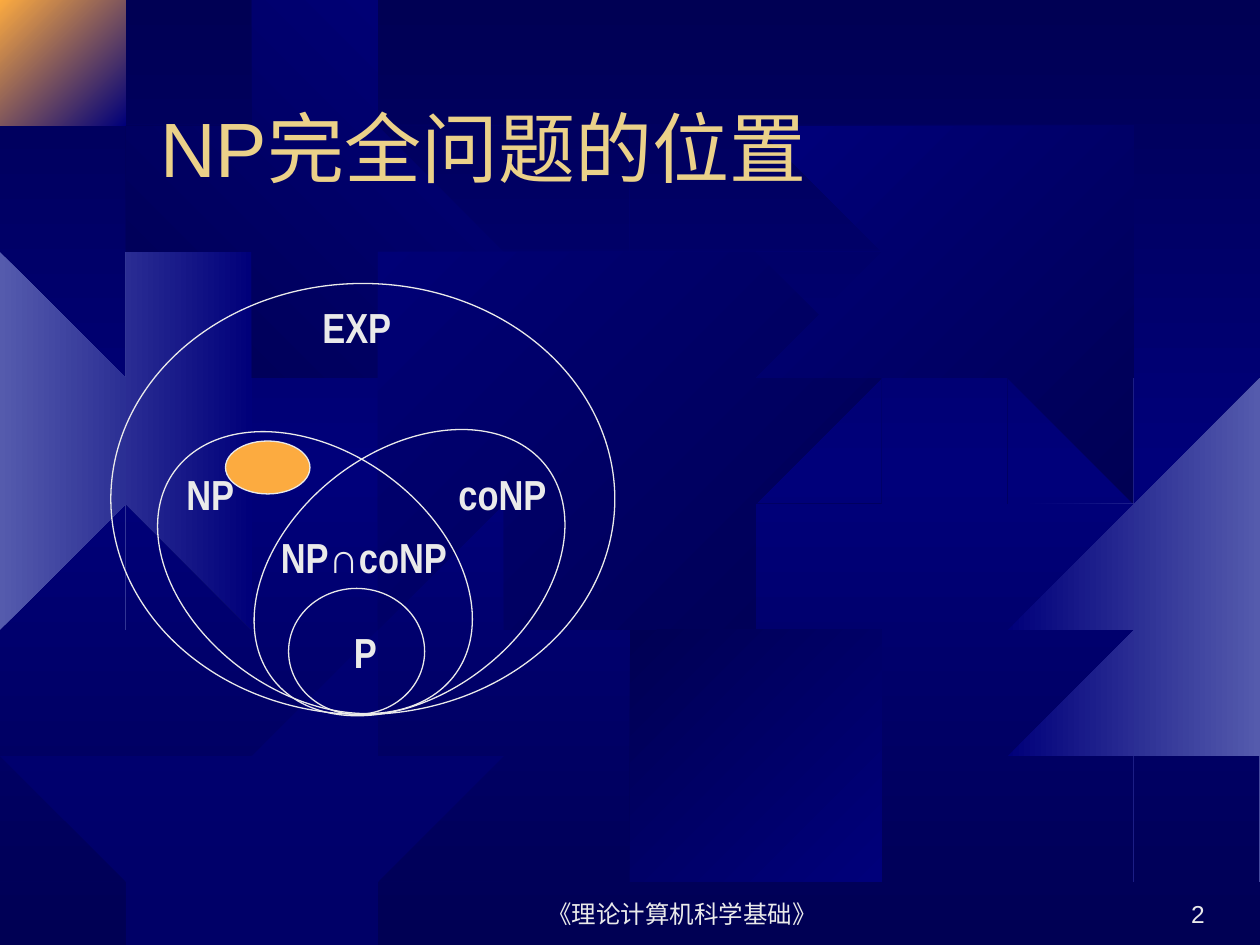
from dataclasses import dataclass
from typing import Optional

import pptx
import pptx.dml.color
import pptx.enum.shapes
import pptx.enum.text
import pptx.oxml
import pptx.oxml.ns
import pptx.util
from copy import deepcopy

Inches = pptx.util.Inches
RGBColor = pptx.dml.color.RGBColor
Align = pptx.enum.text.PP_ALIGN
Anchor = pptx.enum.text.MSO_ANCHOR

NAVY = RGBColor(0x00, 0x00, 0x54)
BLUE = RGBColor(0x00, 0x00, 0x7A)
LAVENDER = RGBColor(0x55, 0x5B, 0xAD)
ORANGE = RGBColor(0xFC, 0xAB, 0x40)
GOLD = RGBColor(0xEB, 0xD1, 0x89)
PALE = RGBColor(0xEA, 0xEA, 0xEA)

WIDTH, HEIGHT = 10, 7.5

Point = tuple[float, float]

GEAR_OUTLINE: list[Point] = [
    (1.58, 0.41), (1.38, 0.36), (1.35, 0), (1.11, 0.02), (1.1, 0.36), (0.93, 0.42),
    (0.7, 0.12), (0.54, 0.21), (0.69, 0.54), (0.59, 0.65), (0.24, 0.53), (0.16, 0.66),
    (0.42, 0.89), (0.38, 1.07), (0.01, 1.1), (0, 1.3), (0.38, 1.35), (0.42, 1.52),
    (0.14, 1.77), (0.24, 1.92), (0.55, 1.78), (0.67, 1.9), (0.5, 2.19), (0.66, 2.32),
    (0.93, 2.05), (1.1, 2.1), (1.13, 2.47), (1.37, 2.48), (1.4, 2.09), (1.61, 2.04),
    (1.85, 2.31), (2.01, 2.21), (1.85, 1.89), (1.96, 1.75), (2.28, 1.91), (2.38, 1.74),
    (2.08, 1.52), (2.12, 1.33), (2.48, 1.3), (2.47, 1.11), (2.11, 1.05), (2.07, 0.91),
    (2.37, 0.71), (2.27, 0.53), (1.94, 0.67), (1.83, 0.56), (2, 0.25), (1.84, 0.15),
]


@dataclass(frozen=True)
class Gear:
    left: float
    top: float
    scale: float
    start: RGBColor
    end: Optional[RGBColor] = None
    angle: int = 0


@dataclass(frozen=True)
class Oval:
    left: float
    top: float
    width: float
    height: float
    rotation: float = 0
    fill: Optional[RGBColor] = None


@dataclass(frozen=True)
class Label:
    text: str
    left: float
    top: float
    width: float
    size: int = 24
    font: str = "Arial Narrow"
    bold: bool = True
    alignment: Align = Align.LEFT
    anchor: Anchor = Anchor.TOP


GEARS = [
    Gear(-0.5, 2.01, 1.19, LAVENDER, BLUE),
    Gear(0.12, -0.04, 0.37, ORANGE, BLUE, 45),
    Gear(1.3, 0.39, 1, NAVY, BLUE, 315),
    Gear(2.77, 1.39, 1.62, BLUE, NAVY, 45),
    Gear(0, 5.25, 1.51, BLUE),
    Gear(4.91, 4.84, 1, NAVY, BLUE, 45),
    Gear(6.18, 0.53, 1.29, BLUE, NAVY, 45),
    Gear(7.82, 2.8, 1.76, BLUE, LAVENDER),
]
FOOTERS = [
    Label("《理论计算机科学基础》", 3.83, 6.92, 3.17, 14, "Arial", False, Align.CENTER, Anchor.BOTTOM),
    Label("2", 7.58, 6.92, 2.08, 14, "Arial", False, Align.RIGHT, Anchor.BOTTOM),
]
OVALS = [
    Oval(1.54, 3.17, 1.92, 2.75, 305.7),
    Oval(2.29, 3.17, 1.92, 2.75, 51.9),
    Oval(2.29, 4.67, 1.08, 1),
    Oval(0.88, 2.25, 4, 3.42),
    Oval(1.79, 3.5, 0.67, 0.42, fill=ORANGE),
]
CLASS_LABELS = [
    Label("P", 2.71, 4.92, 0.58),
    Label("NP", 1.38, 3.67, 0.75),
    Label("coNP", 3.54, 3.67, 1.08),
    Label("NP∩coNP", 2.13, 4.17, 1.58),
    Label("EXP", 2.46, 2.34, 0.75),
]


def clip(points: list[Point], axis: int, limit: float, sign: int) -> list[Point]:
    kept: list[Point] = []
    for before, after in zip(points[-1:] + points[:-1], points):
        gap_before = sign * (before[axis] - limit)
        gap_after = sign * (after[axis] - limit)
        if (gap_before > 0) != (gap_after > 0):
            share = gap_before / (gap_before - gap_after)
            kept.append((before[0] + share * (after[0] - before[0]),
                         before[1] + share * (after[1] - before[1])))
        if gap_after <= 0:
            kept.append(after)
    return kept


def draw_gear(slide: pptx.slide.Slide, gear: Gear) -> None:
    points = [(gear.left + gear.scale * x, gear.top + gear.scale * y) for x, y in GEAR_OUTLINE]
    for axis, limit, sign in ((0, 0, -1), (0, WIDTH, 1), (1, 0, -1), (1, HEIGHT, 1)):
        points = clip(points, axis, limit, sign)
    builder = slide.shapes.build_freeform(*points[0], scale=Inches(1))
    builder.add_line_segments(points[1:], close=True)
    shape = builder.convert_to_shape()
    shape.shadow.inherit = False
    shape.line.fill.background()
    if gear.end is None:
        shape.fill.solid()
        shape.fill.fore_color.rgb = gear.start
        color = shape._element.spPr.find(".//" + pptx.oxml.ns.qn("a:srgbClr"))
        alpha = pptx.oxml.parse_xml(f'<a:alpha {pptx.oxml.ns.nsdecls("a")} val="50000"/>')
        color.append(alpha)
        return
    shape.fill.gradient()
    shape.fill.gradient_angle = -gear.angle % 360
    for stop, color, position in zip(shape.fill.gradient_stops, (gear.start, gear.end), (0, 1)):
        stop.color.rgb = color
        stop.position = position


def draw_oval(slide: pptx.slide.Slide, oval: Oval) -> None:
    shape = slide.shapes.add_shape(
        pptx.enum.shapes.MSO_SHAPE.OVAL,
        *map(Inches, (oval.left, oval.top, oval.width, oval.height)))
    shape.rotation = oval.rotation
    shape.shadow.inherit = False
    shape.line.color.rgb = PALE
    shape.line.width = pptx.util.Pt(0.75)
    if oval.fill is None:
        shape.fill.background()
    else:
        shape.fill.solid()
        shape.fill.fore_color.rgb = oval.fill


def format_text(shape: pptx.shapes.base.BaseShape, label: Label, color: RGBColor) -> None:
    frame = shape.text_frame
    frame.word_wrap = True
    frame.auto_size = pptx.enum.text.MSO_AUTO_SIZE.NONE
    frame.vertical_anchor = label.anchor
    frame.text = label.text
    paragraph = frame.paragraphs[0]
    paragraph.alignment = label.alignment
    paragraph.font.name = label.font
    paragraph.font.size = pptx.util.Pt(label.size)
    paragraph.font.bold = label.bold
    paragraph.font.color.rgb = color


def draw_label(slide: pptx.slide.Slide, label: Label) -> None:
    shape = slide.shapes.add_textbox(*map(Inches, (label.left, label.top, label.width, 0.5)))
    format_text(shape, label, PALE)


def paint_background(slide: pptx.slide.Slide) -> None:
    fill = slide.background.fill
    fill.gradient()
    fill.gradient_angle = 270
    stop_list = slide._element.find(".//" + pptx.oxml.ns.qn("a:gsLst"))
    stop_list.append(deepcopy(stop_list[0]))
    for stop, color, position in zip(fill.gradient_stops, (NAVY, BLUE, NAVY), (0, 0.5, 1)):
        stop.color.rgb = color
        stop.position = position


def place_title(slide: pptx.slide.Slide) -> None:
    title = slide.shapes.title
    label = Label("NP完全问题的位置", 1.17, 0.33, 8.5, 44, "Arial", False, anchor=Anchor.BOTTOM)
    title.left, title.top = Inches(label.left), Inches(label.top)
    title.width, title.height = Inches(label.width), Inches(1.25)
    format_text(title, label, GOLD)
    slide.shapes._spTree.append(title._element)


presentation = pptx.Presentation()
presentation.slide_width, presentation.slide_height = Inches(WIDTH), Inches(HEIGHT)
slide = presentation.slides.add_slide(presentation.slide_layouts[5])
paint_background(slide)
for gear in GEARS:
    draw_gear(slide, gear)
for footer in FOOTERS:
    draw_label(slide, footer)
place_title(slide)
for oval in OVALS:
    draw_oval(slide, oval)
for class_label in CLASS_LABELS:
    draw_label(slide, class_label)
presentation.save("out.pptx")
